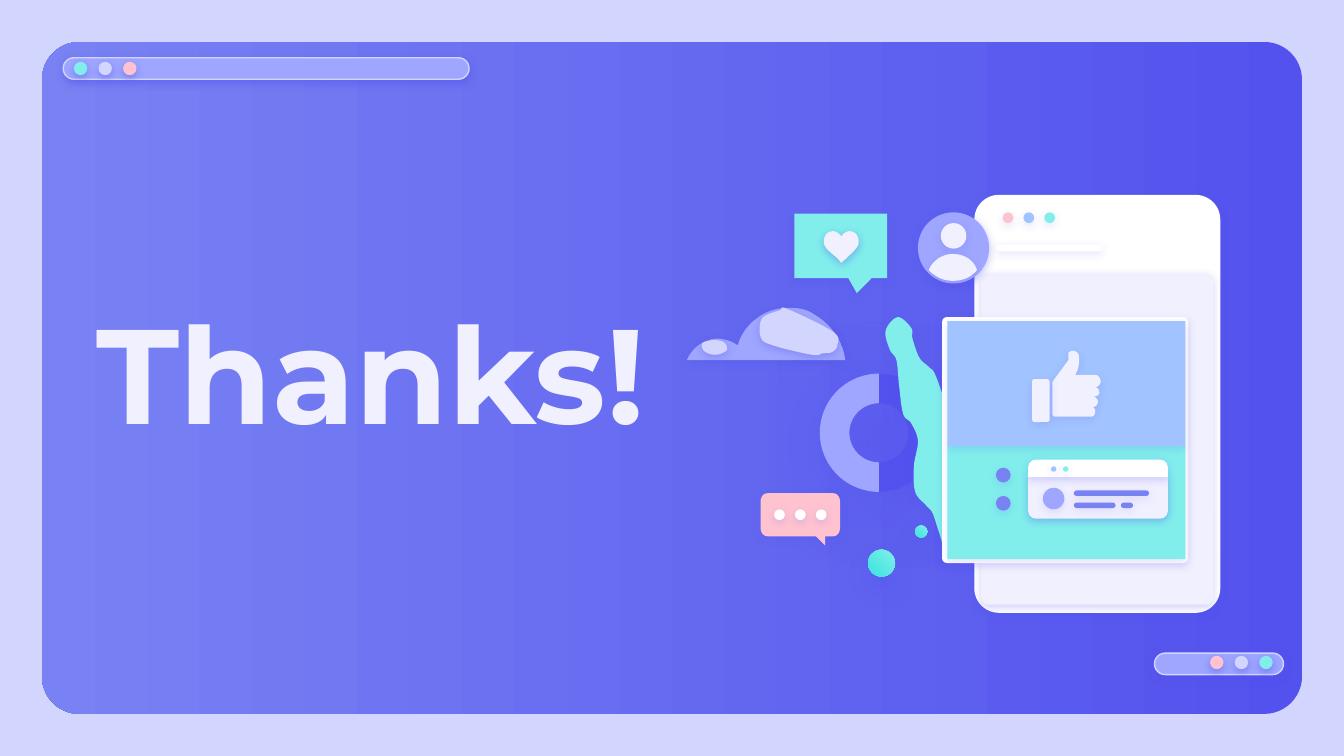
import pptx
import pptx.util
import pptx.dml.color
import pptx.enum.shapes
import pptx.enum.text
import pptx.oxml
import pptx.oxml.ns


class Theme:
    page, pale, white = "D2D6FF", "F1F0FF", "FFFFFF"
    deep, mid, lilac = "5352EE", "7882F3", "9EA6FF"
    mint, teal, pink, sky = "81EEEB", "3AE4DF", "FFC3D0", "A1C3FF"
    font, size, line = "Montserrat", 72, 0.75


T = Theme
KIND = pptx.enum.shapes.MSO_SHAPE
ROUND, OVAL, ARC = KIND.ROUNDED_RECTANGLE, KIND.OVAL, KIND.BLOCK_ARC
RECT, TOP, CALL = KIND.RECTANGLE, KIND.ROUND_2_SAME_RECTANGLE, KIND.ROUNDED_RECTANGULAR_CALLOUT

# The slide is a grid of 1000 columns; every length below counts grid cells
WIDE, HIGH, EDGE = 1000, 562.5, 31.25
CELL = pptx.util.Inches(10) // WIDE


def dots(x, y, size, cols, glow, dx=0, dy=0):
    """A run of equal discs, one for each colour."""
    return [(OVAL, x + i * dx, y + i * dy, size, size, col, glow) for i, col in enumerate(cols)]


def smooth(*pts):
    """Closed outline through the points, as cubic steps."""
    steps, n = [pts[0]], len(pts)
    for i in range(n):
        a, b, c, d = (pts[(i + k) % n] for k in (-1, 0, 1, 2))
        steps.append((b[0] + (c[0] - a[0]) / 6, b[1] + (c[1] - a[1]) / 6,
                      c[0] - (d[0] - b[0]) / 6, c[1] - (d[1] - b[1]) / 6, *c))
    return steps


# Outlines: a start, then lines (x, y) or cubic steps (six numbers)
BLOB = smooth((668, 236), (678, 244), (679, 252), (684, 266), (691, 273), (696, 279),
              (705, 304), (715, 327), (729, 351), (726, 362), (725, 382), (731, 391),
              (734, 405), (730, 414), (722, 418), (706, 415), (699, 397), (694, 382),
              (689, 376), (681, 366), (680, 347), (683, 328), (678, 315), (672, 308),
              (669, 287), (667, 268), (662, 260), (659, 246))
HEART = [(632, 172), (636, 172, 639, 175, 639, 180), (639, 184, 635, 187, 630, 192),
         (626, 195.5), (623, 192), (617, 187, 613, 184, 613, 180),
         (613, 175, 616, 172, 620, 172), (622, 172, 625, 174, 626, 176),
         (627, 174, 630, 172, 632, 172)]
THUMB = [(798, 261), (797, 261, 795, 262, 795, 263), (795, 268), (784, 283),
         (784, 284, 783, 284, 783, 284), (783, 308), (783, 309, 784, 310, 785, 310),
         (812, 310), (814, 310, 815, 308, 815, 306), (815, 304, 814, 303, 812, 303),
         (813, 303), (815, 303, 817, 301, 817, 299), (817, 297, 815, 295, 813, 295),
         (814, 295), (816, 295, 818, 294, 818, 292), (818, 289, 816, 288, 814, 288),
         (815, 288), (817, 288, 819, 286, 819, 284), (819, 281, 817, 279, 815, 279),
         (800, 279), (802, 276, 803, 272, 803, 268), (803, 266),
         (803, 263, 801, 261, 798, 261)]
BUST = [(709, 189), (701, 189, 694, 194, 691, 201), (696, 206, 702, 209, 709, 209),
        (717, 209, 723, 206, 727, 201), (725, 194, 718, 189, 709, 189)]
CLOUD = [(587, 229), (578, 229, 569, 232, 563, 237), (557, 241, 551, 249, 549, 257),
         (545, 254, 539, 252, 534, 252), (532, 252, 530, 252, 528, 253),
         (520, 255, 514, 261, 511, 268), (629, 268), (627, 253, 618, 241, 606, 234),
         (600, 230, 594, 229, 587, 229)]
SHINE = smooth((586, 230), (580, 231), (567, 237), (566, 251), (575, 257), (604, 264),
               (612, 263), (619, 262), (623, 257), (620, 247))
GLINT = smooth((532, 253), (523, 255), (523, 260), (527, 263), (532, 264),
               (537, 263), (541, 260), (539, 255))
CHAT = [(571, 367), (568, 367, 566, 370, 566, 373), (566, 393),
        (566, 396, 568, 399, 571, 399), (607, 399), (614, 406), (614, 399), (620, 399),
        (623, 399, 625, 396, 625, 393), (625, 373), (625, 370, 623, 367, 620, 367)]

# Each part: kind, left, top, width, height, fill, glow, adjustments, turn
# or: outline, fill, glow.  Glow: opacity %, then blur, distance, angle
LAMPS = [T.mint, T.page, T.pink]
HALO, DROP = (67, 38.2, 9, 49), (38, 12.4, 6.8, 90)
FRAME = [
    (ROUND, EDGE, EDGE, WIDE - 2 * EDGE, HIGH - 2 * EDGE, (T.deep, T.mid, 180), None, [0.056]),
    (ROUND, 47, 43, 302, 16, T.lilac, 50, [0.5]),
    *dots(55, 46, 10, LAMPS, 50, dx=18.3),
    (ROUND, 859, 486, 96, 16, T.lilac, 50, [0.5]),
    *dots(937, 488, 10, LAMPS, 50, dx=-18.3),
]
ART = [
    # Ring, blob and heart bubble
    (ARC, 610, 278, 88, 88, T.deep, HALO, [108, 0, 0.25], 90),
    (ARC, 610, 278, 88, 88, T.lilac, HALO, [108, 0, 0.25], 270),
    (BLOB, T.mint, 18),
    (CALL, 591, 159, 69, 48, T.mint, 31, [0.174, 0.731, 0]),
    (HEART, T.pale, 38),
    # Phone
    (ROUND, 725, 145, 183, 311, T.white, 26, [0.1]),
    (ROUND, 730, 203, 173, 247, T.pale, 26, [0.034]),
    *dots(746, 158, 8, [T.pink, T.sky, T.mint], 14, dx=15.5),
    (ROUND, 741, 182, 79, 5, T.white, 14, [0.5]),
    # Card with thumb
    (ROUND, 701, 236, 183, 183, T.white, 14, [0.02]),
    (RECT, 705, 332, 177, 84, T.mint, 14),
    (RECT, 705, 239, 177, 93, T.sky, 14),
    (THUMB, T.pale, 14),
    (ROUND, 768, 282, 13, 32, T.pale, 14, [0.14]),
    *dots(741, 348, 11, [T.mid] * 2, 14, dy=21),
    # Small window
    (TOP, 765, 355, 104, 31, T.pale, 34, [0, 0.19]),
    (TOP, 765, 342, 104, 13, T.white, 24, [0.45, 0]),
    *dots(782, 347, 4, [T.sky, T.mint], 14, dx=9),
    (OVAL, 776, 363, 16, 16, T.lilac, 14),
    *[(ROUND, x, y, w, 4, T.mid, 14, [0.5])
      for x, y, w in ((799, 365, 56), (799, 374, 31), (834, 374, 9))],
    # Person, cloud, drops
    (OVAL, 683, 158, 53, 53, T.lilac, 34),
    (OVAL, 700, 166, 19, 19, T.pale, 14),
    (BUST, T.pale, 14),
    (CLOUD, T.lilac, 31),
    (SHINE, T.page, 31),
    (GLINT, T.page, 31),
    (OVAL, 646, 409, 20, 20, (T.mint, T.teal, 225), DROP),
    (OVAL, 681, 391, 9, 9, (T.mint, T.teal, 225), DROP),
    # Chat bubble
    (CHAT, T.pink, 18),
    *dots(576, 379, 8, [T.white] * 3, 18, dx=15.5),
]


def rgb(code):
    return pptx.dml.color.RGBColor.from_string(code)


def cells(*nums):
    return [round(n * CELL) for n in nums]


def trace(steps, fine=10):
    """Turn lines and cubic steps into points."""
    pts = [steps[0]]
    for step in steps[1:]:
        if len(step) == 2:
            pts.append(step)
            continue
        a, b, c, d = pts[-1], step[:2], step[2:4], step[4:]
        for i in range(1, fine + 1):
            t = i / fine
            u = 1 - t
            pts.append(tuple(u**3 * p + 3 * u * u * t * q + 3 * u * t * t * r + t**3 * s
                             for p, q, r, s in zip(a, b, c, d)))
    return [cells(*p) for p in pts]


def paint(shape, fill, glow):
    shape.shadow.inherit = False
    shape.line.fill.background()
    if isinstance(fill, tuple):
        shape.fill.gradient()
        shape.fill.gradient_angle = fill[2]
        for stop, code, place in zip(shape.fill.gradient_stops, fill, (0, 1)):
            stop.color.rgb, stop.position = rgb(code), place
    else:
        shape.fill.solid()
        shape.fill.fore_color.rgb = rgb(fill)
    if glow:
        alpha, blur, dist, angle = glow if isinstance(glow, tuple) else (glow, 4.5, 1.5, 90)
        shape._element.spPr.find(pptx.oxml.ns.qn("a:effectLst")).append(pptx.oxml.parse_xml(
            f'<a:outerShdw {pptx.oxml.ns.nsdecls("a")} blurRad="{pptx.util.Pt(blur)}" '
            f'dist="{pptx.util.Pt(dist)}" dir="{angle * 60000}" algn="bl" rotWithShape="0">'
            f'<a:srgbClr val="{T.deep}"><a:alpha val="{alpha * 1000}"/></a:srgbClr></a:outerShdw>'))


def draw(shapes, part):
    if isinstance(part[0], list):
        steps, fill, glow = part
        pts = trace(steps)
        pen = shapes.build_freeform(*pts[0], scale=1.0)
        pen.add_line_segments(pts[1:], close=True)
        shape = pen.convert_to_shape()
    else:
        kind, x, y, w, h, fill, glow, *more = part
        shape = shapes.add_shape(kind, *cells(x, y, w, h))
        for i, val in enumerate(more[0] if more else []):
            shape.adjustments[i] = val
        shape.rotation = more[1] if len(more) > 1 else 0
    paint(shape, fill, glow)
    return shape


def main():
    deck = pptx.Presentation()
    deck.slide_width, deck.slide_height = cells(WIDE, HIGH)
    slide = deck.slides.add_slide(deck.slide_layouts[5])
    slide.background.fill.solid()
    slide.background.fill.fore_color.rgb = rgb(T.page)

    # Frame; its long bars carry an outline
    for part in FRAME:
        shape = draw(slide.shapes, part)
        if part[0] == ROUND and part[6]:
            shape.line.color.rgb = rgb(T.page)
            shape.line.width = pptx.util.Pt(T.line)

    # Title, lifted above the frame
    title = slide.shapes.title
    title.left, title.top, title.width, title.height = cells(62, 206, 604, 95)
    slide.shapes._spTree.append(title._element)
    frame = title.text_frame
    frame.text = "Thanks!"
    frame.word_wrap = True
    frame.auto_size = pptx.enum.text.MSO_AUTO_SIZE.NONE
    frame.vertical_anchor = pptx.enum.text.MSO_ANCHOR.TOP
    frame.margin_left = frame.margin_right = frame.margin_top = frame.margin_bottom = cells(10)[0]
    para = frame.paragraphs[0]
    para.alignment = pptx.enum.text.PP_ALIGN.LEFT
    para.font.name, para.font.size, para.font.bold = T.font, pptx.util.Pt(T.size), True
    para.font.color.rgb = rgb(T.pale)

    for part in ART:
        draw(slide.shapes, part)
    deck.save("out.pptx")


if __name__ == "__main__":
    main()
